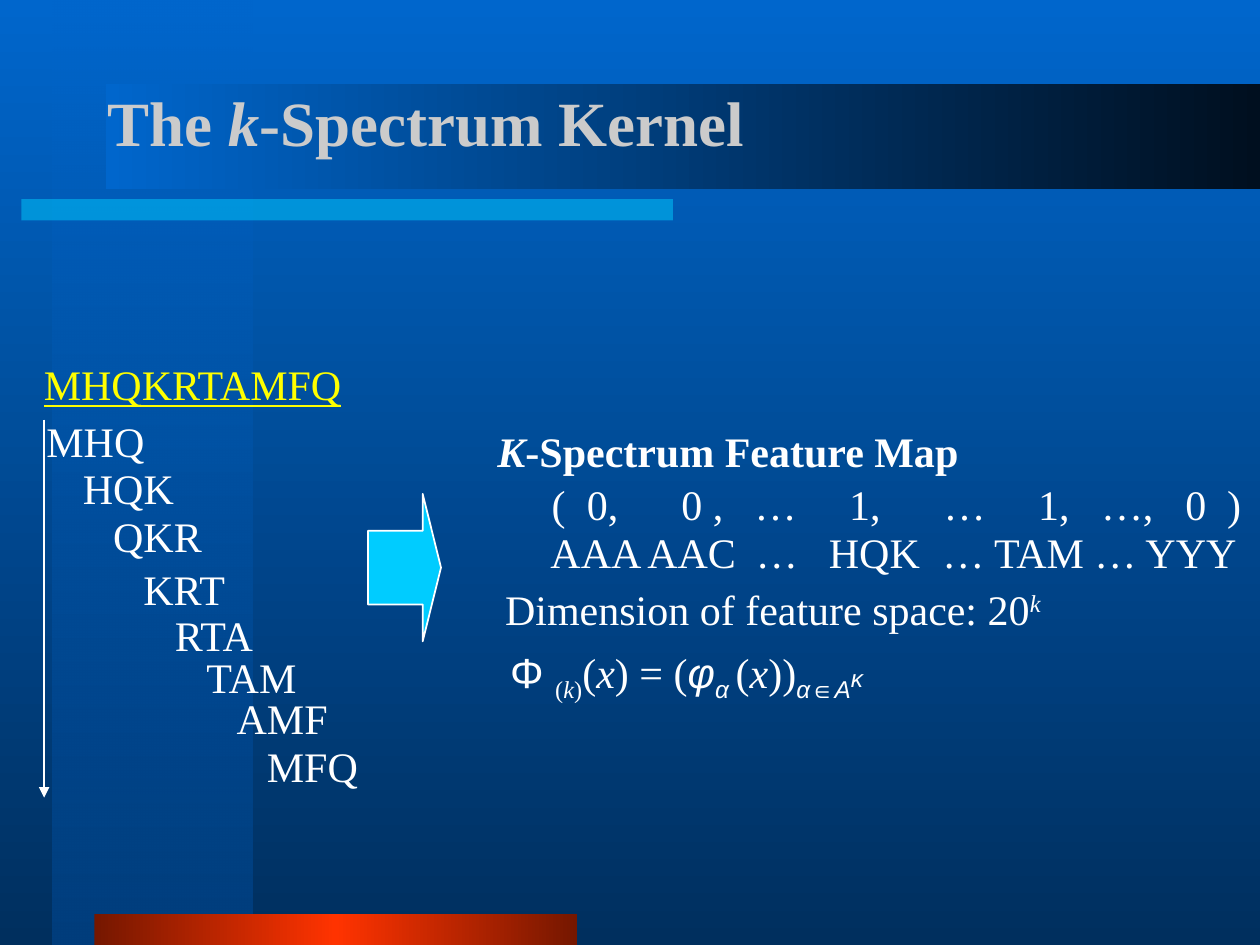
from lxml.etree import SubElement
from pptx import Presentation
from pptx.dml.color import RGBColor
from pptx.enum.shapes import MSO_CONNECTOR, MSO_SHAPE
from pptx.enum.text import MSO_ANCHOR, PP_ALIGN
from pptx.oxml.ns import qn
from pptx.util import Inches, Pt

COLORS = {
    "sky": "0066CC", "deep": "002F5E", "column": "003E7D", "night": "000F1F",
    "cyan": "00CCFF", "rust": "751700", "red": "FF3300",
    "title": "CBCBCB", "white": "FFFFFF", "yellow": "FFFF00",
}
SERIF, SANS = "Times New Roman", "Arial"
SEQUENCE = "MHQKRTAMFQ"
WORD_LENGTH = 3
WORD_PLACES = [(0.27, 3.25), (0.56, 3.62), (0.8, 4), (1.04, 4.42),
               (1.29, 4.79), (1.54, 5.12), (1.78, 5.45), (2.02, 5.83)]


def rgb(name):
    """Return the named colour."""
    return RGBColor.from_string(COLORS[name])


def set_gradient(fill, element, stops, angle):
    """Fill with (position, colour, opacity) stops in percent at a clockwise angle."""
    fill.gradient()
    gradient = next(element.iter(qn("a:gradFill")))
    gradient.clear()
    stop_list = SubElement(gradient, qn("a:gsLst"))
    for position, name, opacity in stops:
        stop = SubElement(stop_list, qn("a:gs"), pos=str(position * 1000))
        color = SubElement(stop, qn("a:srgbClr"), val=COLORS[name])
        if opacity < 100:
            SubElement(color, qn("a:alpha"), val=str(opacity * 1000))
    SubElement(gradient, qn("a:lin"), ang=str(angle * 60000), scaled="0")


def add_block(page, box, kind=MSO_SHAPE.RECTANGLE):
    """Add a plain shape without shadow or outline."""
    block = page.shapes.add_shape(kind, *map(Inches, box))
    block.shadow.inherit = False
    block.line.fill.background()
    return block


def add_span(para, text, size=24, color="white", font=SERIF, bold=False,
             italic=False, underline=False, baseline=0):
    """Append formatted text; baseline is a percentage shift."""
    span = para.add_run()
    span.text = text
    span.font.size = Pt(size)
    span.font.name = font
    span.font.bold = bold
    span.font.italic = italic
    span.font.underline = underline
    span.font.color.rgb = rgb(color)
    if baseline:
        span.font._element.set("baseline", str(baseline * 1000))


def add_text(page, box, spans, tabs=()):
    """Add a text box of (text, format) spans with left tab stops in inches."""
    frame = page.shapes.add_textbox(*map(Inches, box)).text_frame
    frame.word_wrap = True
    para = frame.paragraphs[0]
    if tabs:
        tab_list = SubElement(para._p.get_or_add_pPr(), qn("a:tabLst"))
        for tab in tabs:
            SubElement(tab_list, qn("a:tab"), pos=str(Inches(tab)), algn="l")
    for text, style in spans:
        add_span(para, text, **style)


def draw_backdrop(page):
    """Draw the background gradient and the decorative bars."""
    set_gradient(page.background.fill, page.element,
                 [(0, "sky", 100), (100, "deep", 100)], 90)
    column = add_block(page, (0.42, 0, 1.58, 7.5))
    set_gradient(column.fill, column.element, [(0, "sky", 50), (100, "column", 100)], 90)
    rule = add_block(page, (0.17, 1.58, 5.17, 0.17))
    set_gradient(rule.fill, rule.element, [(0, "cyan", 50), (100, "cyan", 50)], 0)
    footer = add_block(page, (0.75, 7.25, 3.83, 0.25))
    set_gradient(footer.fill, footer.element,
                 [(0, "rust", 100), (50, "red", 100), (100, "rust", 100)], 180)
    banner = add_block(page, (0.84, 0.67, 9.16, 0.83))
    set_gradient(banner.fill, banner.element, [(0, "night", 100), (100, "sky", 100)], 180)


def draw_title(page, box):
    """Place and format the title in front of the banner."""
    title = page.shapes.title
    title.left, title.top, title.width, title.height = map(Inches, box)
    title.element.getparent().append(title.element)
    title.text_frame.vertical_anchor = MSO_ANCHOR.MIDDLE
    para = title.text_frame.paragraphs[0]
    para.alignment = PP_ALIGN.LEFT
    for text, italic in [("The ", False), ("k", True), ("-Spectrum Kernel", False)]:
        add_span(para, text, size=36, color="title", bold=True, italic=italic)


def draw_words(page, left, top):
    """Draw the sequence, its overlapping words and the scan arrow."""
    add_text(page, (left, top, 2.8, 0.5),
             [(SEQUENCE, {"color": "yellow", "underline": True})])
    for start, place in enumerate(WORD_PLACES):
        add_text(page, (*place, 1.1, 0.5), [(SEQUENCE[start:start + WORD_LENGTH], {})])
    scan = page.shapes.add_connector(
        MSO_CONNECTOR.STRAIGHT, Inches(left + 0.1), Inches(top + 0.53),
        Inches(left + 0.1), Inches(top + 3.53))
    scan.line.color.rgb = rgb("white")
    scan.line.width = Pt(1.5)
    SubElement(scan.line._get_or_add_ln(), qn("a:tailEnd"), type="triangle")
    SubElement(scan.element.spPr, qn("a:effectLst"))


def draw_arrow(page, box):
    """Draw the block arrow from words to features."""
    arrow = add_block(page, box, MSO_SHAPE.RIGHT_ARROW)
    arrow.adjustments[0], arrow.adjustments[1] = 0.5, 0.25
    arrow.fill.solid()
    arrow.fill.fore_color.rgb = rgb("cyan")
    arrow.line.color.rgb = rgb("white")
    arrow.line.width = Pt(1)


def draw_feature_map(page, left, top):
    """Draw the feature map heading, vector, dimension and formula."""
    italic = {"italic": True}
    low = {"baseline": -25}
    greek = {"font": SANS, "italic": True}
    add_text(page, (left, top, 4.2, 0.5),
             [("K", {"bold": True, "italic": True}),
              ("-Spectrum Feature Map", {"bold": True})])
    add_text(page, (left + 0.43, top + 0.42, 5.75, 0.5),
             [("(\t0,\t0 ,\t…\t1,\t…\t1,\t…,\t0\t)", {})],
             tabs=(0.28, 1.03, 1.61, 2.36, 3.11, 3.86, 4.36, 5.03, 5.36))
    add_text(page, (left + 0.42, top + 0.8, 5.75, 0.5),
             [("AAA AAC\t…\tHQK\t… TAM … YYY", {})], tabs=(1.63, 2.21, 3.11))
    add_text(page, (left + 0.06, top + 1.25, 4.55, 0.67),
             [("Dimension of feature space: 20", {}),
              ("k", {"italic": True, "baseline": 30})])
    add_text(page, (left + 0.1, top + 1.75, 3.3, 0.56),
             [("Φ ", {"font": SANS}), ("(", low), ("k", italic | low), (")", low),
              ("(", {}), ("x", italic), (") = (", {}), ("φ", greek),
              ("α ", greek | low), ("(", {}), ("x", italic), ("))", {}),
              ("α", greek | low), ("∈", {"font": SANS} | low),
              ("Α", greek | low), ("κ", greek | {"baseline": 2})])


def main():
    """Build and save the slide."""
    deck = Presentation()
    deck.slide_width, deck.slide_height = Inches(10), Inches(7.5)
    page = deck.slides.add_slide(deck.slide_layouts[5])
    draw_backdrop(page)
    draw_title(page, (0.75, 0.5, 8.5, 0.92))
    draw_words(page, 0.25, 2.8)
    draw_feature_map(page, 3.85, 3.33)
    draw_arrow(page, (2.92, 3.92, 0.58, 1.17))
    deck.save("out.pptx")


if __name__ == "__main__":
    main()
